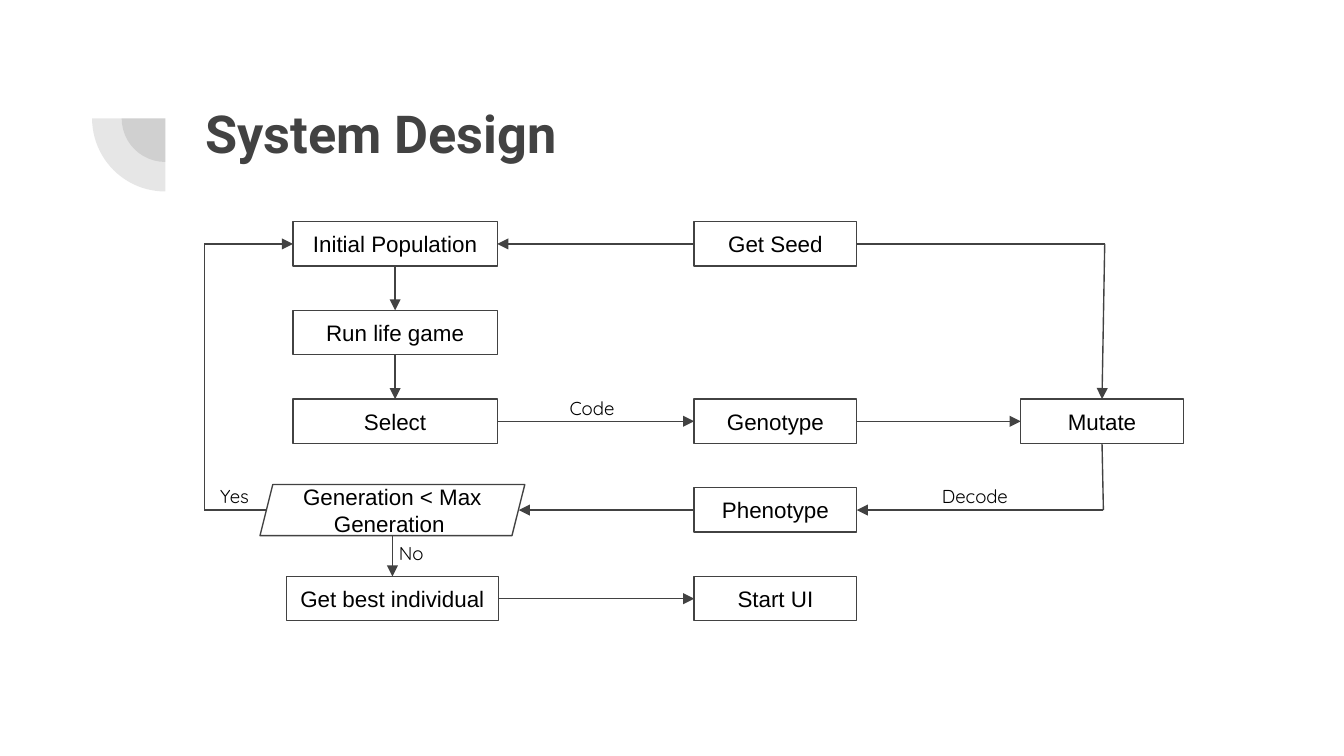
from dataclasses import dataclass
from typing import Optional, Union

from lxml import etree
from pptx import Presentation
from pptx.dml.color import RGBColor
from pptx.enum.shapes import MSO_CONNECTOR, MSO_SHAPE
from pptx.enum.text import MSO_ANCHOR, PP_ALIGN
from pptx.oxml.ns import qn
from pptx.util import Inches, Pt

COLOR = {"ink": "424242", "text": "000000", "box": "FFFFFF"}
TOP, LEFT, BOTTOM, RIGHT = range(4)
ROW, PITCH, HIGH = 1.65, 0.66, 0.33  # first row, row step, box height
COL = (2.94, 5.77, 8.2)  # column centres


@dataclass
class Node:
    text: str
    mid: float
    row: int
    wide: float
    high: float = HIGH
    kind: MSO_SHAPE = MSO_SHAPE.RECTANGLE


@dataclass
class Port:
    node: str
    side: int


@dataclass
class Spot:
    x: float
    y: float


@dataclass
class Link:
    start: Union[Port, Spot]
    end: Union[Port, Spot]
    arrow: bool = True


@dataclass
class Label:
    text: str
    x: float
    y: float
    wide: float
    high: float = 0.38
    size: int = 10
    font: str = "Quicksand"
    color: str = "text"
    bold: Optional[bool] = None


def center(row: int) -> float:
    return ROW + row * PITCH + HIGH / 2


def tint(name: str) -> RGBColor:
    return RGBColor.from_string(COLOR[name])


def style(frame, size: int, font: str, color: str, bold=None) -> None:
    for run in frame.paragraphs[0].runs:
        run.font.size = Pt(size)
        run.font.name = font
        run.font.bold = bold
        run.font.color.rgb = tint(color)


def inset(frame) -> None:
    frame.word_wrap = True
    frame.margin_left = frame.margin_right = Inches(0.1)
    frame.margin_top = frame.margin_bottom = Inches(0.1)


def draw_node(slide, node: Node):
    shape = slide.shapes.add_shape(
        node.kind, Inches(node.mid - node.wide / 2),
        Inches(center(node.row) - node.high / 2),
        Inches(node.wide), Inches(node.high))
    shape.shadow.inherit = False
    shape.fill.solid()
    shape.fill.fore_color.rgb = tint("box")
    shape.line.color.rgb = tint("ink")
    shape.line.width = Pt(0.75)
    frame = shape.text_frame
    inset(frame)
    frame.vertical_anchor = MSO_ANCHOR.MIDDLE
    frame.text = node.text
    frame.paragraphs[0].alignment = PP_ALIGN.CENTER
    style(frame, 12, "Arial", "text")
    return shape


def draw_link(slide, link: Link, boxes: dict) -> None:
    ends = [(Inches(end.x), Inches(end.y)) if isinstance(end, Spot) else (0, 0)
            for end in (link.start, link.end)]
    line = slide.shapes.add_connector(MSO_CONNECTOR.STRAIGHT, *ends[0], *ends[1])
    if isinstance(link.start, Port):
        line.begin_connect(boxes[link.start.node], link.start.side)
    if isinstance(link.end, Port):
        line.end_connect(boxes[link.end.node], link.end.side)
    line.line.color.rgb = tint("ink")
    line.line.width = Pt(0.75)
    if link.arrow:
        tail = etree.SubElement(line.line._get_or_add_ln(), qn("a:tailEnd"))
        for key, value in (("type", "triangle"), ("w", "med"), ("len", "med")):
            tail.set(key, value)
    etree.SubElement(line._element.spPr, qn("a:effectLst"))


def draw_label(slide, label: Label) -> None:
    box = slide.shapes.add_textbox(Inches(label.x), Inches(label.y),
                                   Inches(label.wide), Inches(label.high))
    inset(box.text_frame)
    box.text_frame.text = label.text
    style(box.text_frame, label.size, label.font, label.color, label.bold)


def draw_pie(slide, x: float, y: float, size: float) -> None:
    pie = slide.shapes.add_shape(MSO_SHAPE.PIE, Inches(x - size / 2),
                                 Inches(y - size / 2), Inches(size), Inches(size))
    pie.adjustments[0], pie.adjustments[1] = 107.93, 162
    pie.rotation = 270
    pie.shadow.inherit = False
    pie.line.fill.background()
    pie.fill.solid()
    pie.fill.fore_color.rgb = tint("ink")
    shade = pie._element.spPr.find(".//" + qn("a:srgbClr"))
    etree.SubElement(shade, qn("a:alpha")).set("val", "13000")


NODES = {
    "first": Node("Initial Population", COL[0], 0, 1.52),
    "run": Node("Run life game", COL[0], 1, 1.52),
    "select": Node("Select", COL[0], 2, 1.52),
    "test": Node("Generation < Max Generation ", 2.92, 3, 1.97, 0.38,
                 MSO_SHAPE.PARALLELOGRAM),
    "best": Node("Get best individual", 2.92, 4, 1.58),
    "seed": Node("Get Seed", COL[1], 0, 1.21),
    "geno": Node("Genotype", COL[1], 2, 1.21),
    "pheno": Node("Phenotype", COL[1], 3, 1.21),
    "start": Node("Start UI", COL[1], 4, 1.21),
    "mutate": Node("Mutate", COL[2], 2, 1.21),
}

# Corners of the bent routes
LOOP_LOW, LOOP_TOP = Spot(1.52, center(3)), Spot(1.52, center(0))
SEED_TURN, CODE_TURN = Spot(8.22, center(0)), Spot(8.21, center(3))

LINKS = [
    Link(Port("first", BOTTOM), Port("run", TOP)),
    Link(Port("run", BOTTOM), Port("select", TOP)),
    Link(Port("select", RIGHT), Port("geno", LEFT)),
    Link(Port("geno", RIGHT), Port("mutate", LEFT)),
    Link(Port("seed", LEFT), Port("first", RIGHT)),
    Link(Port("seed", RIGHT), SEED_TURN, False),
    Link(SEED_TURN, Port("mutate", TOP)),
    Link(Port("mutate", BOTTOM), CODE_TURN, False),
    Link(CODE_TURN, Port("pheno", RIGHT)),
    Link(Port("pheno", LEFT), Spot(3.86, center(3))),
    Link(Spot(1.99, center(3)), LOOP_LOW, False),
    Link(LOOP_LOW, LOOP_TOP, False),
    Link(LOOP_TOP, Port("first", LEFT)),
    Link(Spot(2.92, center(3) + 0.19), Port("best", TOP)),
    Link(Port("best", RIGHT), Port("start", LEFT)),
]

LABELS = [
    Label("System Design", 1.43, 0.65, 7.69, 1.09, 28, "Roboto", "ink", True),
    Label("Yes", 1.54, 3.52, 0.6),
    Label("Decode", 6.91, 3.52, 0.76),
    Label("No", 2.87, 3.95, 0.6),
    Label("Code", 4.14, 2.87, 0.6),
]


def main() -> None:
    deck = Presentation()
    # Wide format, 16 to 9
    deck.slide_width = Inches(10)
    deck.slide_height = Inches(10 * 9 / 16)
    slide = deck.slides.add_slide(deck.slide_layouts[6])
    # Corner ornament
    for size in (0.65, 1.09):
        draw_pie(slide, 1.23, 0.88, size)
    # Flow chart
    boxes = {name: draw_node(slide, node) for name, node in NODES.items()}
    for link in LINKS:
        draw_link(slide, link, boxes)
    # Title and branch labels
    for label in LABELS:
        draw_label(slide, label)
    deck.save("out.pptx")


if __name__ == "__main__":
    main()
